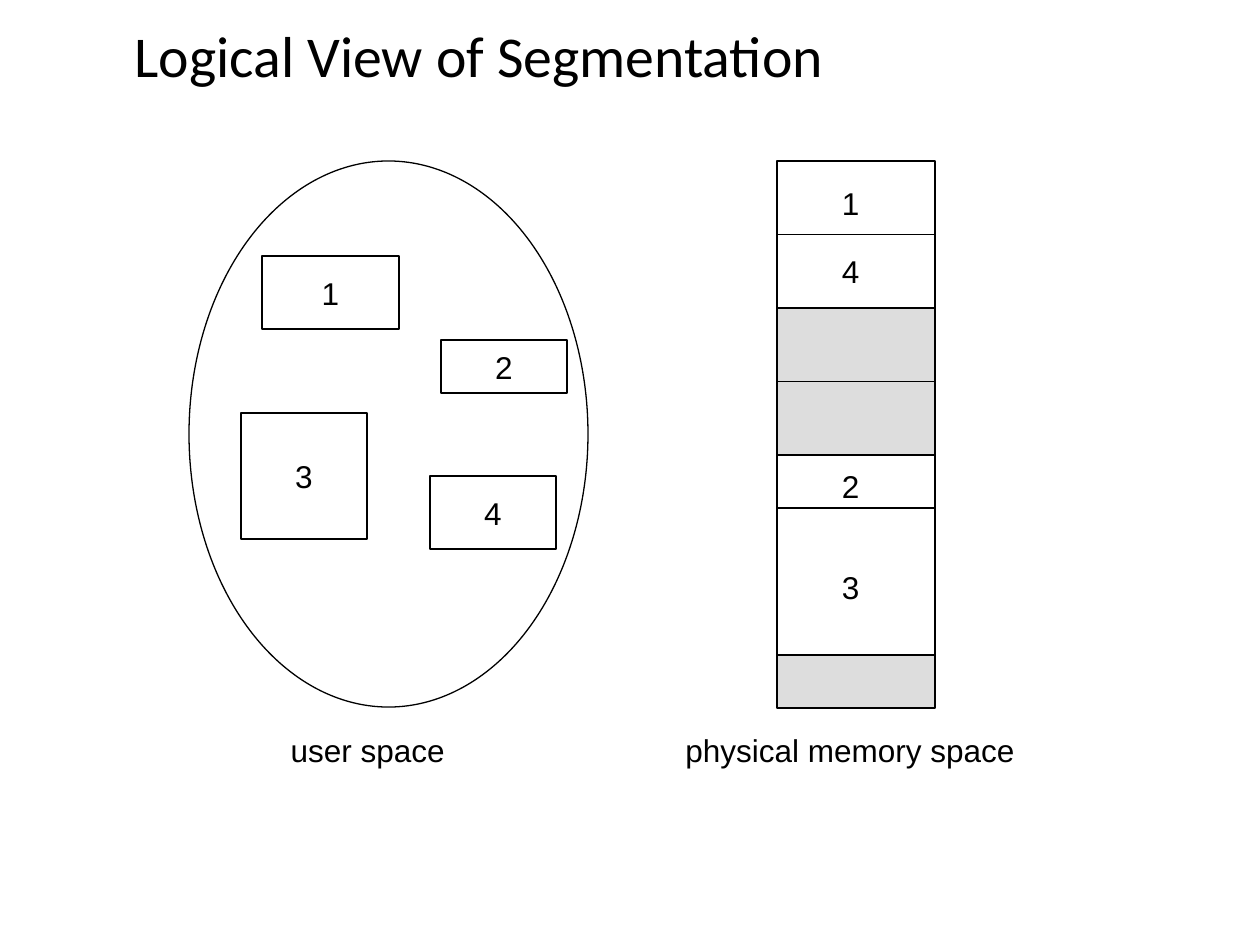
from pptx import Presentation
from pptx import util as u
from pptx.dml.color import RGBColor
from pptx.enum import shapes, text
from pptx.oxml.ns import qn
from lxml import etree

BLACK = RGBColor(0x00, 0x00, 0x00)
WHITE = RGBColor(0xFF, 0xFF, 0xFF)
GRAY = RGBColor(0xDD, 0xDD, 0xDD)
PX = u.Inches(1) / 126


def write(s, label):
    tf = s.text_frame
    tf.word_wrap = False
    tf.vertical_anchor = text.MSO_ANCHOR.MIDDLE
    tf.text = label
    p = tf.paragraphs[0]
    p.alignment = text.PP_ALIGN.CENTER
    f = p.runs[0].font
    f.name, f.size, f.color.rgb = "Arial", u.Pt(18), BLACK


def block(parent, kind, box, fill):
    s = parent.add_shape(kind, *[round(v * PX) for v in box])
    s.shadow.inherit = False
    s.fill.solid()
    s.fill.fore_color.rgb = fill
    s.line.color.rgb = BLACK
    s.line.width = u.Pt(0.75)
    return s


prs = Presentation()
prs.slide_width, prs.slide_height = u.Inches(10), u.Inches(7.5)
slide = prs.slides.add_slide(prs.slide_layouts[5])

title = slide.shapes.title
title.left, title.top, title.width, title.height = [round(v * PX) for v in (122, 19, 1075, 79)]
tf = title.text_frame
tf.text = "Logical View of Segmentation"
tf.auto_size = text.MSO_AUTO_SIZE.NONE
tf.vertical_anchor = text.MSO_ANCHOR.MIDDLE
p = tf.paragraphs[0]
p.alignment = text.PP_ALIGN.LEFT
p.line_spacing = 0.9
f = p.runs[0].font
f.name, f.size, f.color.rgb = "Calibri", u.Pt(33), BLACK

RECT = shapes.MSO_SHAPE.RECTANGLE
block(slide.shapes, shapes.MSO_SHAPE.OVAL, (189, 161, 399, 546), WHITE)
for label, box in [
    ("1", (262, 256, 137, 73)),
    ("3", (241, 413, 126, 126)),
    ("2", (441, 340, 126, 53)),
    ("4", (430, 476, 126, 73)),
]:
    write(block(slide.shapes, RECT, box, WHITE), label)

memory = slide.shapes.add_group_shape().shapes
LEFT, WIDTH = 777, 158
for top, height, fill, divider in [
    (161, 147, WHITE, 235),
    (308, 147, GRAY, 382),
    (455, 200, WHITE, 508),
    (655, 53, GRAY, None),
]:
    s = block(memory, RECT, (LEFT, top, WIDTH, height), fill)
    if divider is None:
        continue
    y = round(divider * PX)
    c = memory.add_connector(shapes.MSO_CONNECTOR.STRAIGHT, s.left, y, s.left + s.width, y)
    c.line.color.rgb = BLACK
    c.line.width = u.Pt(0.75)
    etree.SubElement(c._element.spPr, qn("a:effectLst"))
    if abs(divider - top - height / 2) < 1:
        c.begin_connect(s, 1)
        c.end_connect(s, 3)

for parent, label, box in [
    (memory, "1", (829, 178, 43, 50)),
    (memory, "4", (829, 246, 43, 50)),
    (memory, "2", (829, 461, 43, 50)),
    (memory, "3", (829, 562, 43, 50)),
    (slide.shapes, "user space ", (278, 725, 188, 50)),
    (slide.shapes, "physical memory space", (673, 725, 354, 50)),
]:
    s = parent.add_textbox(*[round(v * PX) for v in box])
    write(s, label)
    s.text_frame.auto_size = text.MSO_AUTO_SIZE.SHAPE_TO_FIT_TEXT

prs.save("out.pptx")
